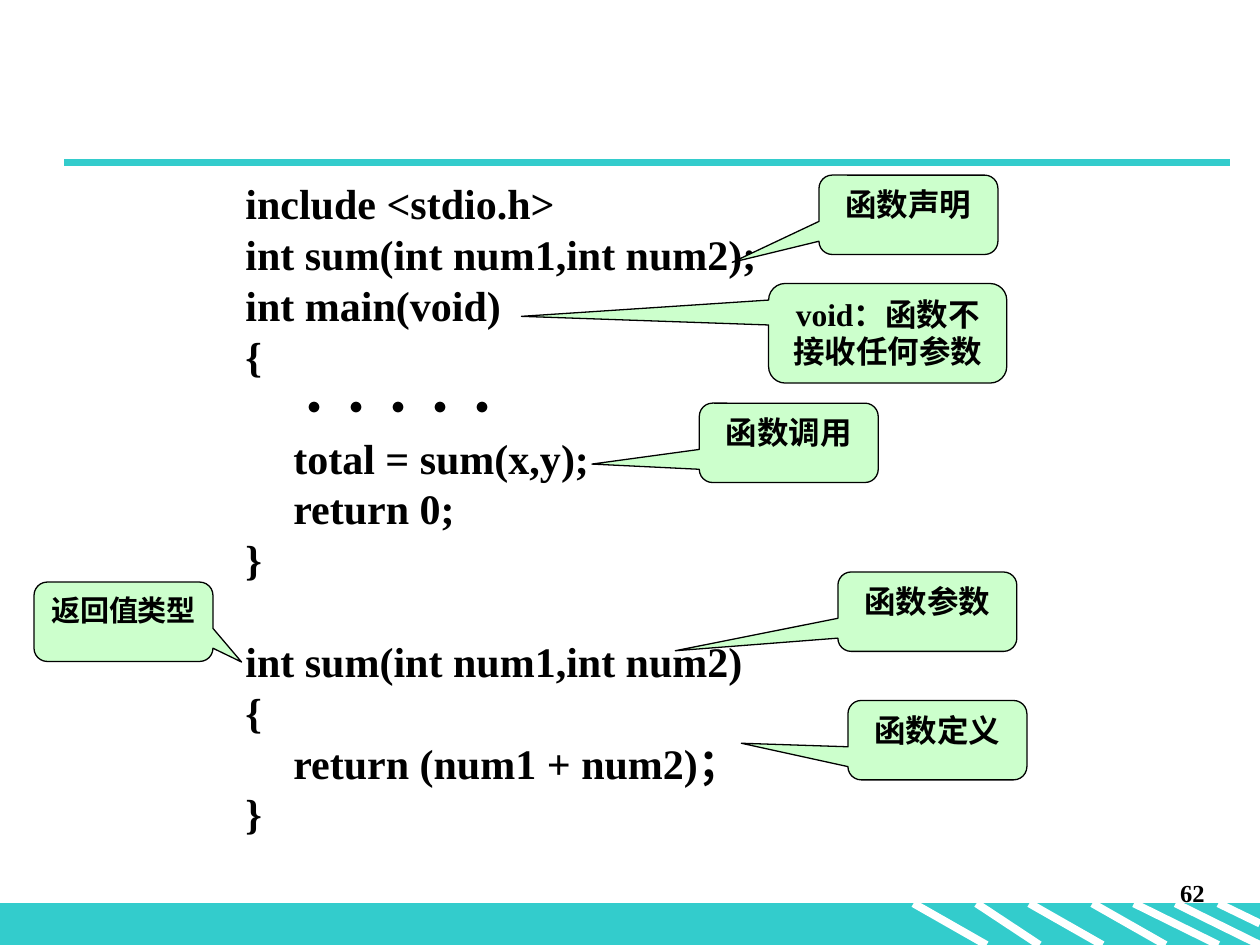
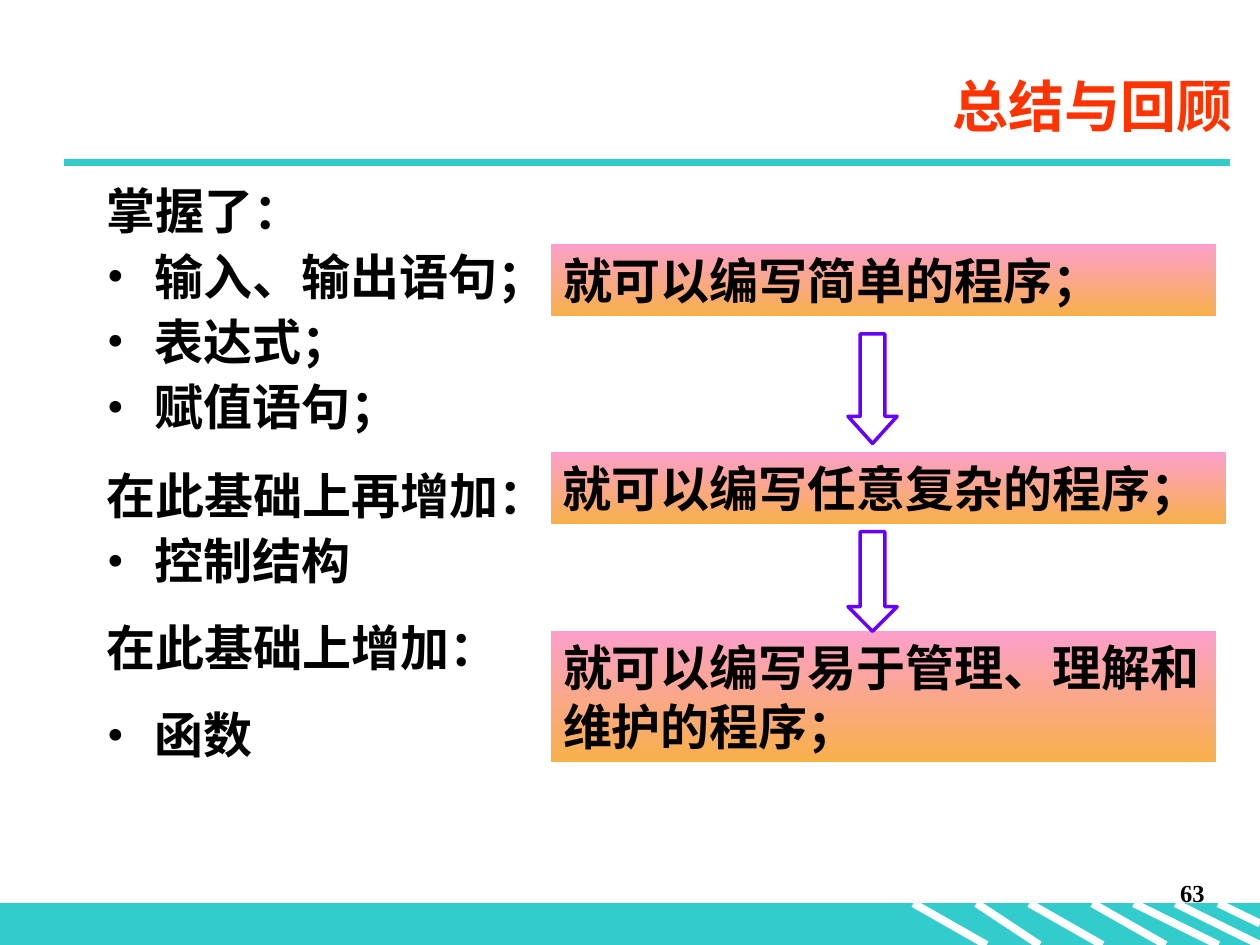
from pptx import Presentation
from pptx.dml.color import RGBColor
from pptx.enum.shapes import MSO_CONNECTOR, MSO_SHAPE
from pptx.enum.text import MSO_ANCHOR, PP_ALIGN
from pptx.oxml.ns import qn
from pptx.util import Inches, Pt
from lxml.etree import SubElement

LATIN, CHINESE = "Times New Roman", "Noto Sans CJK SC"
COLORS = {
    "band": "33CCCC", "stripe": "FFFFFF", "title": "FF3300", "text": "000000",
    "callout": "CCFFCC", "box_top": "FC9FCB", "box_bottom": "F8B049", "arrow": "6600FF",
}
BAND_TOP, PAGE_WIDTH, PAGE_HEIGHT = 7.17, 10, 7.5
HANGING = 0.38

# (top x, bottom x, bottom y)
STRIPES = [
    (7.25, 7.83, 7.5), (7.75, 8.25, 7.5), (8.17, 8.75, 7.5), (8.67, 9.25, 7.5),
    (9, 9.67, 7.5), (9.33, 10, 7.5), (9.67, 10, 7.33),
]

# (text, indented, space before, East Asian only)
CODE = [
    ("include <stdio.h>", False, 6, False),
    ("int sum(int num1,int num2);", False, 6, False),
    ("int main(void)", False, 6, False),
    ("{", False, 6, False),
    ("·····", True, 6, True),
    ("total = sum(x,y);", True, 6, False),
    ("return 0;", True, 6, False),
    ("}", False, 6, False),
    ("int sum(int num1,int num2)", False, 35, False),
    ("{", False, 6, False),
    ("return (num1 + num2)；", True, 6, False),
    ("}", False, 6, False),
]

# (text, left, top, width, height, pointer x, pointer y, size)
CALLOUTS = [
    ("函数声明", 6.5, 1.39, 1.42, 0.63, -0.985, 0.599, 18),
    ("void：函数不接收任何参数", 6.1, 2.25, 1.89, 0.79, -1.538, -0.17, 18),
    ("函数调用", 5.55, 3.2, 1.42, 0.63, -1.1, 0.268, 18),
    ("返回值类型", 0.27, 4.62, 1.42, 0.63, 0.66, 0.508, 16.6),
    ("函数参数", 6.65, 4.54, 1.42, 0.63, -1.409, 0.492, 18),
    ("函数定义", 6.73, 5.56, 1.42, 0.63, -1.096, 0.039, 18),
]

# (text, bulleted, space before)
SKILLS = [
    ("掌握了：", False, 7),
    ("输入、输出语句；", True, 7),
    ("表达式；", True, 7),
    ("赋值语句；", True, 7),
    ("在此基础上再增加：", False, 20.5),
    ("控制结构", True, 7),
    ("在此基础上增加：", False, 19.5),
    ("函数", True, 19.5),
]

# (text, top, width, height)
RESULTS = [
    ("就可以编写简单的程序；", 1.94, 5.28, 0.57),
    ("就可以编写任意复杂的程序；", 3.59, 5.36, 0.57),
    ("就可以编写易于管理、理解和维护的程序；", 5.01, 5.28, 1.04),
]
# (top, height, head length)
ARROWS = [(2.65, 0.87, 0.552), (4.22, 0.79, 0.5)]


def color(name):
    return RGBColor.from_string(COLORS[name])


def inches(*lengths):
    return [Inches(length) for length in lengths]


def add_span(para, text, size, name="text", latin=LATIN):
    span = para.add_run()
    span.text = text
    span.font.size = Pt(size)
    span.font.bold = True
    span.font.name = latin
    span.font.color.rgb = color(name)
    properties = span.font._element
    properties.set("lang", "zh-CN")
    SubElement(properties, qn("a:ea")).set("typeface", CHINESE)


def set_indent(para, left, first):
    properties = para._p.get_or_add_pPr()
    properties.set("marL", str(Inches(left)))
    properties.set("indent", str(Inches(first)))
    return properties


def add_bullet(properties):
    bullet_color = SubElement(properties, qn("a:buClr"))
    SubElement(bullet_color, qn("a:srgbClr")).set("val", COLORS["text"])
    SubElement(properties, qn("a:buFont")).set("typeface", LATIN)
    SubElement(properties, qn("a:buChar")).set("char", "•")


def first_para(shape, align, anchor=MSO_ANCHOR.TOP):
    frame = shape.text_frame
    frame.word_wrap = True
    frame.vertical_anchor = anchor
    para = frame.paragraphs[0]
    para.alignment = align
    return para


def paragraphs(box, count, line_spacing):
    """Yield the given number of left-aligned paragraphs of a box."""
    for index in range(count):
        para = box.text_frame.add_paragraph() if index else first_para(box, PP_ALIGN.LEFT)
        para.line_spacing = line_spacing
        yield para


def add_line(page, ends, name):
    line = page.shapes.add_connector(MSO_CONNECTOR.STRAIGHT, *inches(*ends))
    line.line.color.rgb = color(name)
    line.line.width = Pt(4.5)
    SubElement(line._element.spPr, qn("a:effectLst"))


def add_figure(page, kind, place, fill=None, line=None, width=0.75):
    figure = page.shapes.add_shape(kind, *inches(*place))
    figure.shadow.inherit = False
    if fill:
        figure.fill.solid()
        figure.fill.fore_color.rgb = color(fill)
    else:
        figure.fill.background()
    if line:
        figure.line.color.rgb = color(line)
        figure.line.width = Pt(width)
    else:
        figure.line.fill.background()
    return figure


def add_page(deck, number, title=None):
    page = deck.slides.add_slide(deck.slide_layouts[6])
    band = (0, BAND_TOP, PAGE_WIDTH, PAGE_HEIGHT - BAND_TOP)
    add_figure(page, MSO_SHAPE.RECTANGLE, band, "band", "band")
    for top_x, bottom_x, bottom_y in STRIPES:
        add_line(page, (top_x, BAND_TOP, bottom_x, bottom_y), "stripe")
    add_line(page, (0.51, 1.29, 9.76, 1.29), "band")
    box = page.shapes.add_textbox(*inches(7.58, 6.92, 2.08, 0.5))
    para = first_para(box, PP_ALIGN.RIGHT)
    para.space_before = Pt(8.8)
    add_span(para, str(number), 14)
    if title:
        box = page.shapes.add_textbox(*inches(1.38, 0.44, 8.5, 0.79))
        add_span(first_para(box, PP_ALIGN.RIGHT, MSO_ANCHOR.MIDDLE), title, 32, "title")
    return page


def build_code_page(deck):
    page = add_page(deck, 62)
    box = page.shapes.add_textbox(*inches(1.85, 1.44, 8.5, 5.3))
    for para, line in zip(paragraphs(box, len(CODE), 0.8), CODE):
        text, indented, before, chinese_only = line
        para.space_before = Pt(before)
        set_indent(para, HANGING, 0 if indented else -HANGING)
        add_span(para, text, 24, latin=CHINESE if chinese_only else LATIN)
    for text, left, top, width, height, pointer_x, pointer_y, size in CALLOUTS:
        callout = add_figure(page, MSO_SHAPE.ROUNDED_RECTANGULAR_CALLOUT,
                             (left, top, width, height), "callout", "text")
        callout.adjustments[0] = pointer_x
        callout.adjustments[1] = pointer_y
        para = first_para(callout, PP_ALIGN.CENTER)
        para.space_before = Pt(4.5)
        add_span(para, text, size)


def build_summary_page(deck):
    page = add_page(deck, 63, "总结与回顾")
    box = page.shapes.add_textbox(*inches(0.75, 1.44, 8.5, 5.04))
    for para, (text, bulleted, before) in zip(paragraphs(box, len(SKILLS), 0.9), SKILLS):
        para.space_before = Pt(before)
        properties = set_indent(para, HANGING, -HANGING)
        if bulleted:
            add_bullet(properties)
        add_span(para, text, 28)
    for text, top, width, height in RESULTS:
        result = add_figure(page, MSO_SHAPE.RECTANGLE, (4.37, top, width, height))
        result.fill.gradient()
        result.fill.gradient_angle = 270
        for stop, name in zip(result.fill.gradient_stops, ("box_top", "box_bottom")):
            stop.color.rgb = color(name)
        add_span(first_para(result, PP_ALIGN.LEFT), text, 28)
    for top, height, head in ARROWS:
        arrow = add_figure(page, MSO_SHAPE.DOWN_ARROW, (6.73, top, 0.39, height),
                           line="arrow", width=2)
        arrow.adjustments[1] = head


def main():
    deck = Presentation()
    deck.slide_width, deck.slide_height = inches(PAGE_WIDTH, PAGE_HEIGHT)
    build_code_page(deck)
    build_summary_page(deck)
    deck.save("out.pptx")


if __name__ == "__main__":
    main()
